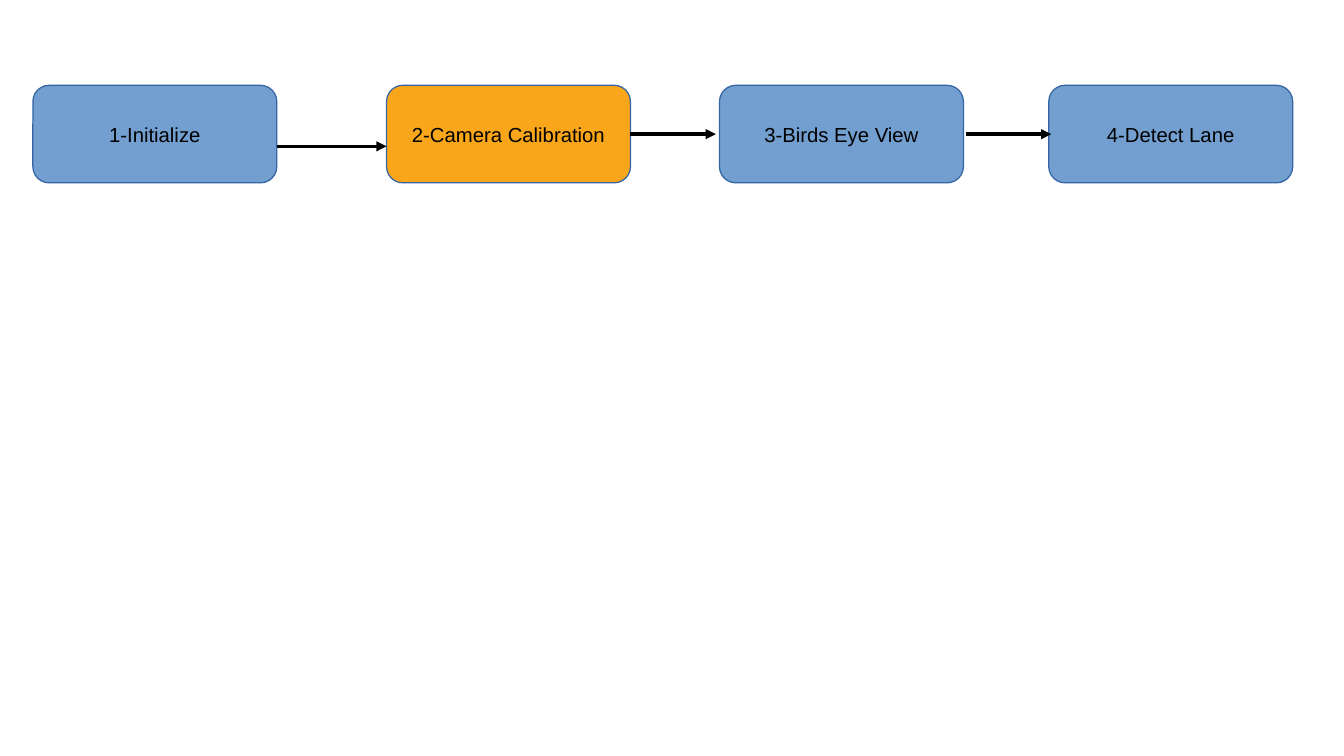
from lxml.etree import SubElement
from pptx import Presentation
from pptx.dml.color import RGBColor
from pptx.enum.shapes import MSO_CONNECTOR as Connector, MSO_SHAPE as Shape
from pptx.enum.text import MSO_ANCHOR as Anchor, PP_ALIGN as Align
from pptx.oxml.ns import qn
from pptx.util import Inches, Pt

COLORS = {"step": "729FCF", "active": "FAA61A", "border": "3465A4", "ink": "000000"}


class FlowSlide:
    """Style and current slide; lengths are columns and rows of a 0.1 inch grid."""

    cell = Inches(0.1)
    font_name = "Arial"
    font_size = Pt(12)

    def __init__(self, slide):
        self.slide = slide

    def grid(self, *lengths):
        return [round(length * self.cell) for length in lengths]

    def color(self, name):
        return RGBColor.from_string(COLORS[name])

    def outline(self, line, color):
        line.color.rgb = self.color(color)
        line.width = Pt(0)

    def box(self, text, left, top, width, height, fill):
        shape = self.slide.shapes.add_shape(
            Shape.ROUNDED_RECTANGLE, *self.grid(left, top, width, height))
        shape.shadow.inherit = False
        shape.fill.solid()
        shape.fill.fore_color.rgb = self.color(fill)
        self.outline(shape.line, "border")

        text_frame = shape.text_frame
        text_frame.text = text
        text_frame.word_wrap = False
        text_frame.vertical_anchor = Anchor.MIDDLE
        paragraph = text_frame.paragraphs[0]
        paragraph.alignment = Align.CENTER
        font = paragraph.runs[0].font
        font.name, font.size = self.font_name, self.font_size
        font.color.rgb = self.color("ink")

    def arrow(self, start, end, row):
        connector = self.slide.shapes.add_connector(
            Connector.STRAIGHT, *self.grid(start, row, end, row))
        self.outline(connector.line, "ink")
        properties = connector.line._get_or_add_ln()
        SubElement(properties, qn("a:tailEnd"), type="triangle")
        SubElement(connector._element.spPr, qn("a:effectLst"))


def main():
    presentation = Presentation()
    presentation.slide_width = Inches(11.02)
    presentation.slide_height = Inches(6.2)
    flow = FlowSlide(presentation.slides.add_slide(presentation.slide_layouts[6]))

    # Process steps
    top, width, height = 7, 20, 8
    steps = [
        ("1-Initialize", 2.7, "step"),
        ("2-Camera Calibration", 31.7, "active"),
        ("3-Birds Eye View", 59, "step"),
        ("4-Detect Lane", 86, "step"),
    ]
    for text, left, fill in steps:
        flow.box(text, left, top, width, height, fill)

    # Arrows between the steps
    middle = top + height / 2
    for start, end, row in [(22.7, 31.7, middle + 1),
                            (51.7, 58.7, middle),
                            (79.2, 86.2, middle)]:
        flow.arrow(start, end, row)

    presentation.save("out.pptx")


if __name__ == "__main__":
    main()
